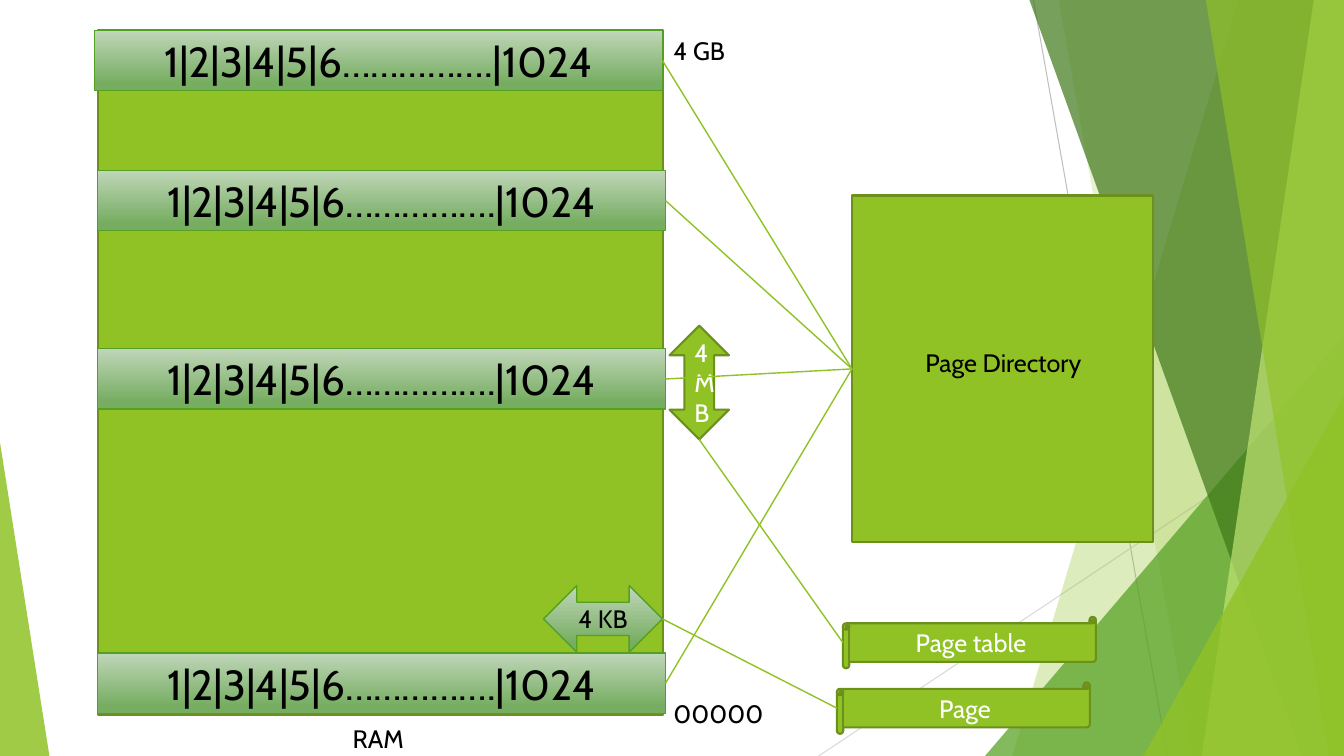
from dataclasses import dataclass

from lxml.etree import SubElement
from pptx import Presentation
from pptx.dml.color import RGBColor
from pptx.enum.shapes import MSO_CONNECTOR, MSO_SHAPE
from pptx.enum.text import MSO_ANCHOR, PP_ALIGN
from pptx.oxml.ns import qn
from pptx.util import Inches, Pt


@dataclass(frozen=True)
class Theme:
    font: str = "Cabin"
    body: float = 18
    cells: float = 30
    black: str = "000000"
    white: str = "FFFFFF"
    green: str = "90C226"
    green_edge: str = "6B901C"
    leaf: str = "54A021"
    forest: str = "3F7819"
    lime: str = "C0E474"
    bar_light: str = "C0D6B9"
    bar_dark: str = "76AD61"
    gray: str = "BFBFBF"
    pale_gray: str = "D9D9D9"


@dataclass(frozen=True)
class Box:
    left: float
    top: float
    width: float
    height: float

    def inner(self, left, top, width, height):
        """Return a box placed from this box's top left corner."""
        return Box(self.left + left, self.top + top, width, height)

    def inches(self):
        return [Inches(n) for n in (self.left, self.top, self.width, self.height)]

    @property
    def right(self):
        return self.left + self.width

    @property
    def bottom(self):
        return self.top + self.height

    @property
    def middle(self):
        return self.top + self.height / 2


THEME = Theme()


def paint(shape, color, opacity=100):
    shape.shadow.inherit = False
    shape.fill.solid()
    shape.fill.fore_color.rgb = RGBColor.from_string(color)
    if opacity < 100:
        tone = shape._element.spPr.find(qn("a:solidFill"))[0]
        SubElement(tone, qn("a:alpha")).set("val", str(opacity * 1000))


def paint_gradient(shape):
    shape.shadow.inherit = False
    shape.fill.gradient()
    shape.fill.gradient_angle = 270
    colors = ((0, THEME.bar_light), (0.88, THEME.bar_dark))
    for stop, (position, color) in zip(shape.fill.gradient_stops, colors):
        stop.position = position
        stop.color.rgb = RGBColor.from_string(color)


def outline(shape, color, width):
    shape.line.color.rgb = RGBColor.from_string(color)
    shape.line.width = Pt(width)


def write(shape, text, color, size=THEME.body, align=PP_ALIGN.CENTER):
    frame = shape.text_frame
    frame.word_wrap = True
    frame.text = text
    para = frame.paragraphs[0]
    para.alignment = align
    font = para.runs[0].font
    font.name, font.size = THEME.font, Pt(size)
    font.color.rgb = RGBColor.from_string(color)


def add_label(page, box, text):
    label = page.shapes.add_textbox(*box.inches())
    write(label, text, THEME.black, align=PP_ALIGN.LEFT)


def add_block(page, kind, box, text="", gradient=False, size=THEME.body):
    block = page.shapes.add_shape(kind, *box.inches())
    if gradient:
        paint_gradient(block)
        outline(block, THEME.leaf, 1)
    else:
        paint(block, THEME.green)
        outline(block, THEME.green_edge, 1.5)
    if text:
        write(block, text, THEME.black if gradient else THEME.white, size)
        block.text_frame.vertical_anchor = MSO_ANCHOR.MIDDLE


def add_line(shapes, start, end, color=THEME.green, width=1):
    line = shapes.add_connector(
        MSO_CONNECTOR.STRAIGHT, *[Inches(n) for n in (*start, *end)])
    outline(line, color, width)
    SubElement(line._element.spPr, qn("a:effectLst"))


def draw_backdrop(page, box):
    shapes = page.shapes.add_group_shape().shapes

    def add_band(top_left, top_right, bottom_left, color, opacity):
        """Add a band that runs down to the right edge of the slide."""
        corners = [(top_left, box.top), (top_right, box.top),
                   (box.right, box.bottom), (bottom_left, box.bottom)]
        if top_right == box.right:
            corners[1] = (box.right, box.top)
        points = [(Inches(x), Inches(y)) for x, y in corners]
        builder = shapes.build_freeform(*points[0], scale=1.0)
        builder.add_line_segments(points[1:], close=True)
        band = builder.convert_to_shape()
        paint(band, color, opacity)
        band.line.fill.background()

    def add_wedge(left, width, height, peak, color, opacity):
        wedge_box = box.inner(left, box.height - height, width, height)
        wedge = shapes.add_shape(MSO_SHAPE.ISOSCELES_TRIANGLE, *wedge_box.inches())
        wedge.adjustments[0] = peak
        paint(wedge, color, opacity)
        wedge.line.fill.background()

    add_line(shapes, (10.25, box.top), (11.58, box.bottom), THEME.gray, 0.75)
    add_line(shapes, (box.right, 4.03), (8.12, box.bottom), THEME.pale_gray, 0.75)
    add_band(12.28, box.right, 10.04, THEME.green, 30)
    add_band(10.5, box.right, 11.83, THEME.green, 20)
    add_wedge(9.77, 3.56, 4.17, 1, THEME.leaf, 72)
    add_band(10.21, box.right, 12.91, THEME.forest, 70)
    add_band(13.03, box.right, 11.92, THEME.lime, 70)
    add_band(11.96, box.right, 13.18, THEME.green, 65)
    add_wedge(11.34, 1.99, 3.57, 1, THEME.green, 80)
    add_wedge(0, 0.49, 3.11, 0, THEME.green, 85)


def draw_memory(page, box):
    """Draw the RAM column and return its page table bars, top first."""
    add_block(page, MSO_SHAPE.RECTANGLE, box)
    add_label(page, box.inner(box.width, 0, 1.31, 0.4), "4 GB")
    add_label(page, box.inner(box.width, 6.58, 1.31, 0.4), "00000")
    add_label(page, box.inner(2.43, 6.83, 0.77, 0.42), "RAM")
    offsets = ((-0.03, 0), (0, 1.39), (0, 3.16), (0, 6.18))
    bars = [box.inner(left, top, 5.63, 0.6) for left, top in offsets]
    for bar in bars:
        add_block(page, MSO_SHAPE.RECTANGLE, bar, "1|2|3|4|5|6…………….|1024",
                  gradient=True, size=THEME.cells)
    return bars


def draw_directory(page, box, bars):
    add_block(page, MSO_SHAPE.RECTANGLE, box)
    for bar in bars:
        add_line(page.shapes, (bar.right, bar.middle), (box.left, box.middle))
    add_label(page, box.inner(0.63, 1.46, 1.96, 0.71), "Page Directory")


def draw_scroll(page, box, text, source):
    """Draw a named scroll and a line to it from the source point."""
    add_block(page, MSO_SHAPE.HORIZONTAL_SCROLL, box, text)
    add_line(page.shapes, source, (box.left, box.middle))


def main():
    deck = Presentation()
    deck.slide_width, deck.slide_height = Inches(13.33), Inches(7.5)
    page = deck.slides.add_slide(deck.slide_layouts[6])
    draw_backdrop(page, Box(0, 0, 13.33, 7.5))
    bars = draw_memory(page, Box(0.97, 0.3, 5.61, 6.79))

    table_span = Box(6.64, 3.23, 0.59, 1.13)
    page_span = Box(5.39, 5.81, 1.18, 0.66)
    add_block(page, MSO_SHAPE.UP_DOWN_ARROW, table_span, "4MB")
    add_block(page, MSO_SHAPE.LEFT_RIGHT_ARROW, page_span, "4 KB", gradient=True)

    draw_directory(page, Box(8.45, 1.94, 2.99, 3.44), bars)
    draw_scroll(page, Box(8.3, 6.77, 2.51, 0.51), "Page",
                (page_span.right, page_span.middle))
    draw_scroll(page, Box(8.36, 6.12, 2.51, 0.51), "Page table",
                (table_span.left + table_span.width / 2, table_span.bottom))
    deck.save("out.pptx")


if __name__ == "__main__":
    main()
